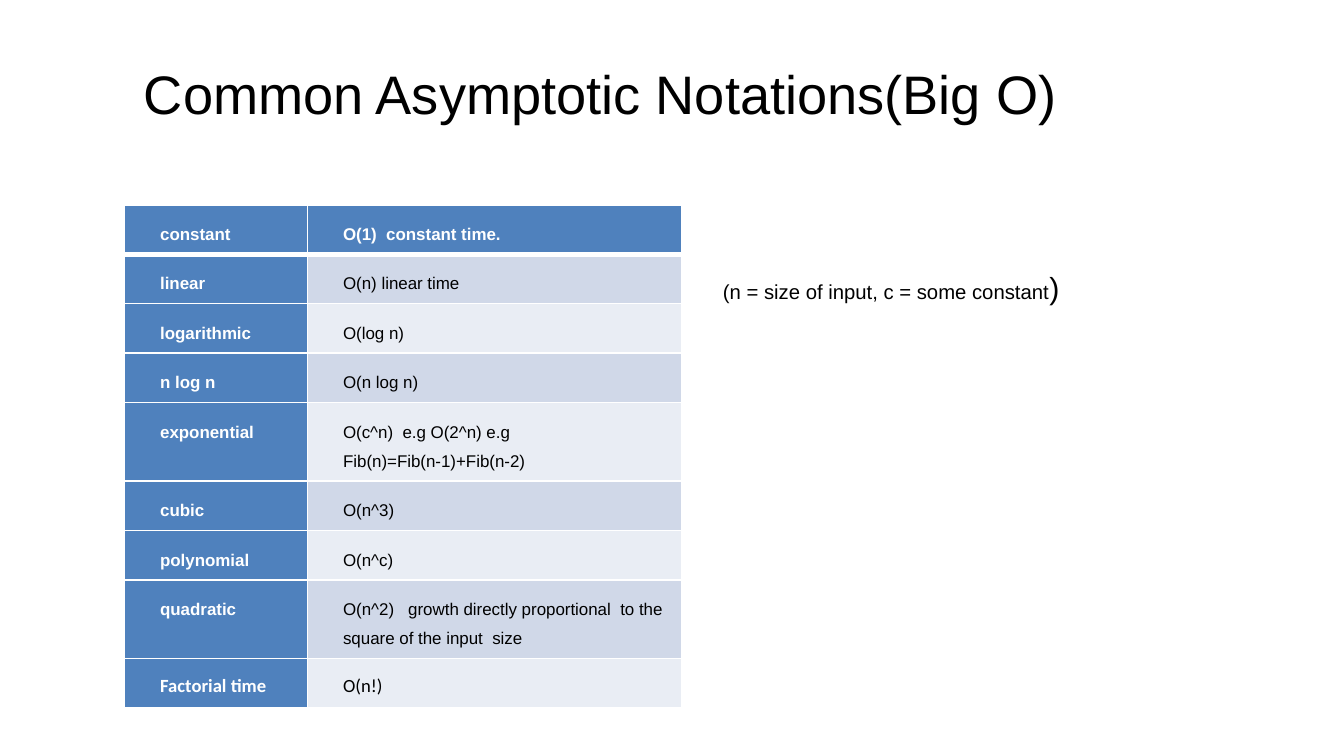
from dataclasses import dataclass

from lxml.etree import SubElement
from pptx import Presentation
from pptx.dml.color import RGBColor as Color
from pptx.enum.text import MSO_ANCHOR as Anchor, MSO_AUTO_SIZE as Auto, PP_ALIGN as Align
from pptx.oxml.ns import qn
from pptx.util import Inches, Pt


@dataclass(frozen=True)
class Theme:
    white: str = "FFFFFF"
    black: str = "000000"
    blue: str = "4F81BD"
    bands: tuple = ("E9EDF4", "D0D8E8")
    sans: str = "Arial"
    alt: str = "Calibri"
    title: int = 32
    paren: int = 18
    note: int = 12
    cell: int = 10
    last: int = 11
    lead: float = 17.2
    thin: int = 1
    thick: int = 3


THEME = Theme()

ROWS = [
    ("constant", "O(1)  constant time."),
    ("linear", "O(n) linear time"),
    ("logarithmic", "O(log n)"),
    ("n log n", "O(n log n)"),
    ("exponential", "O(c^n)  e.g O(2^n) e.g Fib(n)=Fib(n-1)+Fib(n-2)"),
    ("cubic", "O(n^3)"),
    ("polynomial", "O(n^c)"),
    ("quadratic", "O(n^2)   growth directly proportional  to the  square of the input  size"),
    ("Factorial time", "O(n!)"),
]
TALL = ("exponential", "quadratic")


def style(font, size, color, name=THEME.sans, bold=False):
    font.size = Pt(size)
    font.name = name
    font.bold = bold
    font.color.rgb = Color.from_string(color)


def add_title(slide, text):
    title = slide.shapes.title
    title.left, title.top = Inches(1.18), Inches(0.25)
    title.width, title.height = Inches(9.29), Inches(1.03)
    frame = title.text_frame
    frame.text = text
    frame.vertical_anchor = Anchor.MIDDLE
    frame.margin_left = frame.margin_right = 0
    frame.margin_top = frame.margin_bottom = 0
    line = frame.paragraphs[0]
    line.alignment = Align.LEFT
    style(line.font, THEME.title, THEME.black)


def add_edge(cell, side, width):
    props = cell._tc.get_or_add_tcPr()
    edge = SubElement(props, qn(f"a:ln{side}"), w=str(Pt(width)))
    fill = SubElement(edge, qn("a:solidFill"))
    SubElement(fill, qn("a:srgbClr"), val=THEME.white)


def fill_cell(cell, text, row, col):
    cell.margin_left = cell.margin_right = Inches(1 / 12)
    cell.margin_top = cell.margin_bottom = Inches(1 / 12)
    for side in "LRTB":
        heavy = (row, side) in ((0, "B"), (1, "T"))
        add_edge(cell, side, THEME.thick if heavy else THEME.thin)
    head = row == 0 or col == 0
    cell.fill.solid()
    shade = THEME.blue if head else THEME.bands[row % 2]
    cell.fill.fore_color.rgb = Color.from_string(shade)
    cell.text = text
    line = cell.text_frame.paragraphs[0]
    line.line_spacing = Pt(THEME.lead)
    props = line._p.get_or_add_pPr()
    props.set("marL", str(Inches(0.21)))
    props.set("indent", "0")
    end = row == len(ROWS) - 1
    style(
        line.font,
        THEME.last if end else THEME.cell,
        THEME.white if head else THEME.black,
        THEME.alt if end else THEME.sans,
        head,
    )


def add_grid(slide):
    frame = slide.shapes.add_table(
        len(ROWS), 2, Inches(1.02), Inches(1.68), Inches(4.57), Inches(4.1)
    )
    table = frame.table
    for col, width in enumerate((1.5, 3.07)):
        table.columns[col].width = Inches(width)
    for row, pair in enumerate(ROWS):
        table.rows[row].height = Inches(0.64 if pair[0] in TALL else 0.4)
        for col, text in enumerate(pair):
            fill_cell(table.cell(row, col), text, row, col)


def add_note(slide, parts):
    box = slide.shapes.add_textbox(
        Inches(5.83), Inches(2.16), Inches(3.54), Inches(0.4)
    )
    frame = box.text_frame
    frame.word_wrap = True
    frame.auto_size = Auto.SHAPE_TO_FIT_TEXT
    for text, size in parts:
        run = frame.paragraphs[0].add_run()
        run.text = text
        style(run.font, size, THEME.black)


def main():
    deck = Presentation()
    deck.slide_width, deck.slide_height = Inches(11.02), Inches(6.2)
    slide = deck.slides.add_slide(deck.slide_layouts[5])
    add_title(slide, "Common Asymptotic Notations(Big O)")
    add_grid(slide)
    add_note(
        slide,
        [("(n = size of input, c = some constant", THEME.note), (")", THEME.paren)],
    )
    deck.save("out.pptx")


if __name__ == "__main__":
    main()
